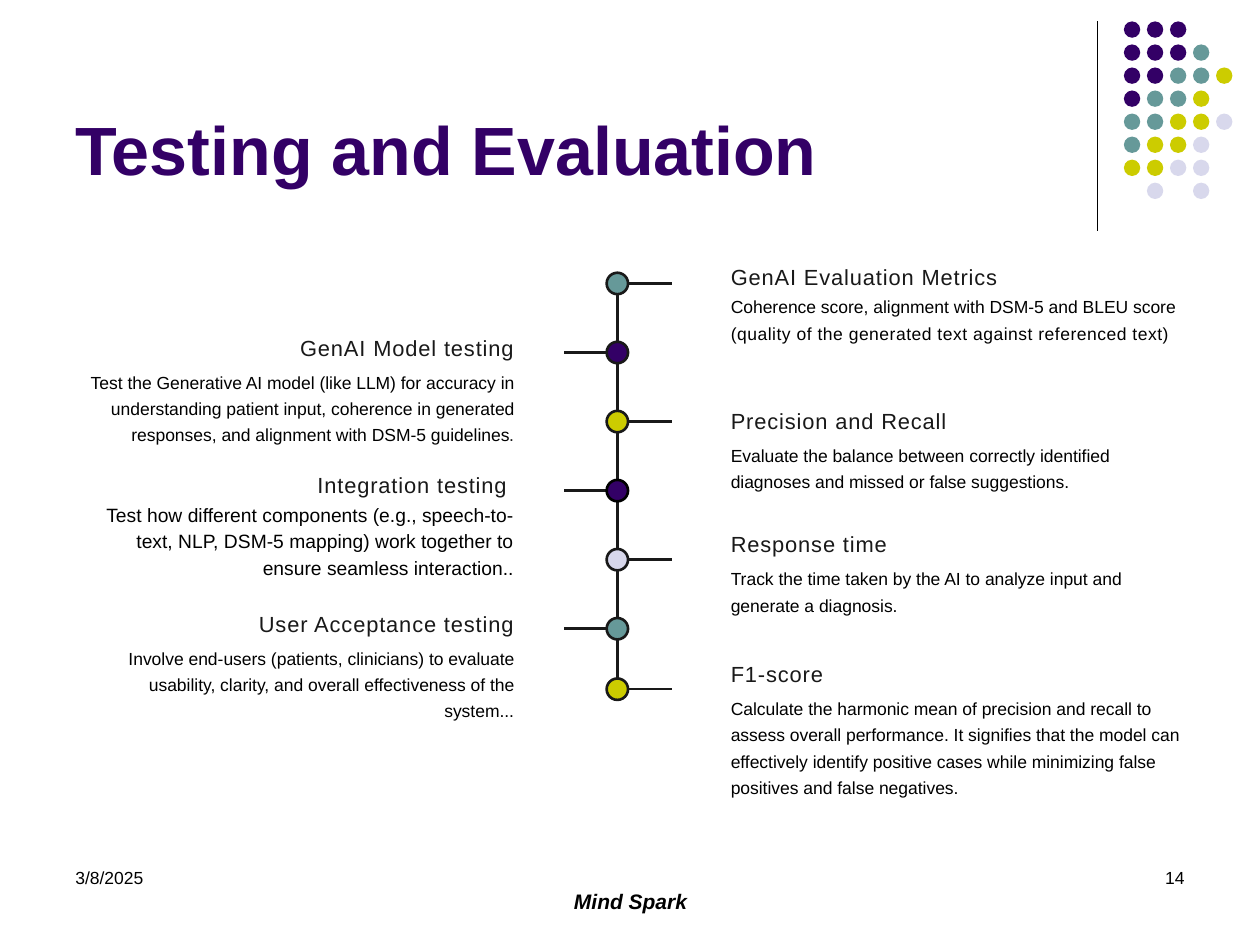
from dataclasses import dataclass

from pptx import Presentation
from pptx.dml.color import RGBColor
from pptx.enum.shapes import MSO_CONNECTOR, MSO_SHAPE
from pptx.enum.text import MSO_ANCHOR, PP_ALIGN
from pptx.oxml.ns import qn
from pptx.util import Inches, Pt

STRAIGHT = MSO_CONNECTOR.STRAIGHT
ELLIPSE = MSO_SHAPE.OVAL
TOP, BOTTOM = MSO_ANCHOR.TOP, MSO_ANCHOR.BOTTOM
LEFT, CENTER, RIGHT = PP_ALIGN.LEFT, PP_ALIGN.CENTER, PP_ALIGN.RIGHT


@dataclass(frozen=True)
class Theme:
    font: str = "Arial"
    purple: str = "330066"
    teal: str = "669999"
    olive: str = "CCCC00"
    lavender: str = "D8D8EC"
    ink: str = "191919"
    black: str = "000000"
    title: float = 39
    heading: float = 12.5
    body: float = 10
    large_body: float = 11
    footer: float = 12


THEME = Theme()
PALETTE = {"P": THEME.purple, "T": THEME.teal, "O": THEME.olive, "L": THEME.lavender}

DOT_ROWS = ["PPP", "PPPT", "PPTTO", "PTTO", "TTOOL", "TOOL", "OOLL", " L L"]
DOT_LEFT, DOT_TOP, DOT_SIZE = 8.92, 0.17, 0.13
DOT_PITCH = 1.28 / 7

NODES = "TPOPLTO"
NODE_OUTLINES = {3: THEME.black}
NODE_X, NODE_TOP, NODE_SIZE = 4.9, 2.25, 0.17
NODE_PITCH = 2.74 / 5
LAST_NODE_Y = 5.47
LEFT_BRANCH_END, RIGHT_BRANCH_END = 4.48, 5.33

RIGHT_X, LEFT_EDGE = 5.8, 4.08
HEADING_HEIGHT = 0.24

RIGHT_TOPICS = [
    ("GenAI Evaluation Metrics", 2.06, 0.25, 3.62, 0.61, [
        [("Coherence score, alignment with DSM-5 and BLEU score", THEME.body, THEME.black, 0)],
        [("(quality of the generated text against referenced text)",
          THEME.body, THEME.black, 0.3)],
    ]),
    ("Precision and Recall", 3.2, 0.29, 3.47, 0.4, [
        [("Evaluate the balance between correctly identified diagnoses and missed "
          "or false suggestions.", THEME.body, THEME.black, 0)],
    ]),
    ("Response time", 4.18, 0.29, 3.57, 0.61, [
        [("Track the time taken by the AI to analyze input and generate a diagnosis.",
          THEME.body, THEME.black, 0)],
    ]),
    ("F1-score", 5.21, 0.29, 3.57, 0.82, [
        [("Calculate the harmonic mean of precision and recall to assess overall "
          "performance. It signifies that the model can effectively identify positive "
          "cases while minimizing false positives and false negatives.",
          THEME.body, THEME.black, 0)],
    ]),
]

LEFT_TOPICS = [
    ("GenAI Model testing", 2.62, 0.29, 3.36, 0.61, [
        [("Test the Generative AI model (like LLM) for accuracy in understanding patient "
          "input, coherence in generated responses, and alignment with DSM-5 guidelines",
          THEME.body, THEME.black, 0),
         (".", THEME.body, THEME.ink, 0.3)],
    ]),
    ("Integration testing ", 3.71, 0.26, 3.5, 0.61, [
        [("Test how different components (e.g., speech-to-text, NLP, DSM-5 mapping) work "
          "together to ensure seamless interaction..", THEME.large_body, THEME.black, 0)],
    ]),
    ("User Acceptance testing", 4.81, 0.29, 3.36, 0.61, [
        [("Involve end-users (patients, clinicians) to evaluate usability, clarity, and "
          "overall effectiveness of the system...", THEME.body, THEME.black, 0)],
    ]),
]


def color(value):
    return RGBColor.from_string(value)


def add_line(slide, start, end, line_color=THEME.ink, width=1.5):
    connector = slide.shapes.add_connector(STRAIGHT, *map(Inches, start + end))
    connector.line.color.rgb = color(line_color)
    connector.line.width = Pt(width)
    properties = connector._element.spPr
    properties.append(properties.makeelement(qn("a:effectLst"), {}))


def add_circle(slide, left, top, size, fill, outline=None):
    shape = slide.shapes.add_shape(ELLIPSE, *map(Inches, (left, top, size, size)))
    shape.shadow.inherit = False
    shape.fill.solid()
    shape.fill.fore_color.rgb = color(fill)
    if outline:
        shape.line.color.rgb = color(outline)
        shape.line.width = Pt(1.5)
    else:
        shape.line.fill.background()


def add_text(slide, box, paragraphs, align=LEFT, anchor=TOP, spacing=None,
             inset=(0, 0), bold=False, italic=False):
    frame = slide.shapes.add_textbox(*map(Inches, box)).text_frame
    frame.word_wrap = True
    frame.vertical_anchor = anchor
    frame.margin_left = frame.margin_right = Inches(inset[0])
    frame.margin_top = frame.margin_bottom = Inches(inset[1])
    for index, runs in enumerate(paragraphs):
        paragraph = frame.add_paragraph() if index else frame.paragraphs[0]
        paragraph.alignment = align
        if spacing:
            paragraph.line_spacing = Pt(spacing)
        for text, size, text_color, tracking in runs:
            run = paragraph.add_run()
            run.text = text
            run.font.name = THEME.font
            run.font.size = Pt(size)
            run.font.color.rgb = color(text_color)
            run.font.bold = bold
            run.font.italic = italic
            if tracking:
                run.font._element.set("spc", str(round(tracking * 100)))


def add_topic(slide, topic, align):
    heading, top, body_offset, width, height, paragraphs = topic
    left = RIGHT_X if align == LEFT else LEFT_EDGE - width
    add_text(slide, (left, top, width, HEADING_HEIGHT),
             [[(heading, THEME.heading, THEME.ink, 0.5)]], align, spacing=17.5)
    add_text(slide, (left, top + body_offset, width, height), paragraphs, align, spacing=15)


def add_dots(slide):
    add_line(slide, (8.71, 0.17), (8.71, 1.83), THEME.black, 0.75)
    for row, codes in enumerate(DOT_ROWS):
        for column, code in enumerate(codes):
            if code in PALETTE:
                add_circle(slide, DOT_LEFT + column * DOT_PITCH,
                           DOT_TOP + row * DOT_PITCH, DOT_SIZE, PALETTE[code])


def add_timeline(slide):
    radius = NODE_SIZE / 2
    centers = [NODE_TOP + index * NODE_PITCH for index in range(len(NODES) - 1)]
    centers.append(LAST_NODE_Y)
    for upper, lower in zip(centers, centers[1:]):
        add_line(slide, (NODE_X, upper + radius), (NODE_X, lower - radius))
    for index, (code, y) in enumerate(zip(NODES, centers)):
        if index % 2:
            add_line(slide, (LEFT_BRANCH_END, y), (NODE_X - radius, y))
        else:
            add_line(slide, (NODE_X + radius, y), (RIGHT_BRANCH_END, y))
        add_circle(slide, NODE_X - radius, y - radius, NODE_SIZE, PALETTE[code],
                   NODE_OUTLINES.get(index, THEME.ink))


def main():
    presentation = Presentation()
    presentation.slide_width = Inches(10)
    presentation.slide_height = Inches(7.5)
    slide = presentation.slides.add_slide(presentation.slide_layouts[6])

    add_dots(slide)
    inset = (0.1, 0.05)
    add_text(slide, (0.5, 0.13, 8.25, 1.42),
             [[("Testing and Evaluation", THEME.title, THEME.purple, 0)]],
             anchor=BOTTOM, inset=inset, bold=True)
    add_timeline(slide)
    for topics, align in ((RIGHT_TOPICS, LEFT), (LEFT_TOPICS, RIGHT)):
        for topic in topics:
            add_topic(slide, topic, align)

    add_text(slide, (0.5, 6.83, 2.33, 0.5),
             [[("3/8/2025", THEME.body, THEME.black, 0)]], inset=inset)
    add_text(slide, (3.17, 7, 3.67, 0.33),
             [[("Mind Spark", THEME.footer, THEME.black, 0)]],
             CENTER, inset=inset, bold=True, italic=True)
    add_text(slide, (7.17, 6.83, 2.33, 0.5),
             [[("14", THEME.body, THEME.black, 0)]], RIGHT, inset=inset)
    presentation.save("out.pptx")


if __name__ == "__main__":
    main()
